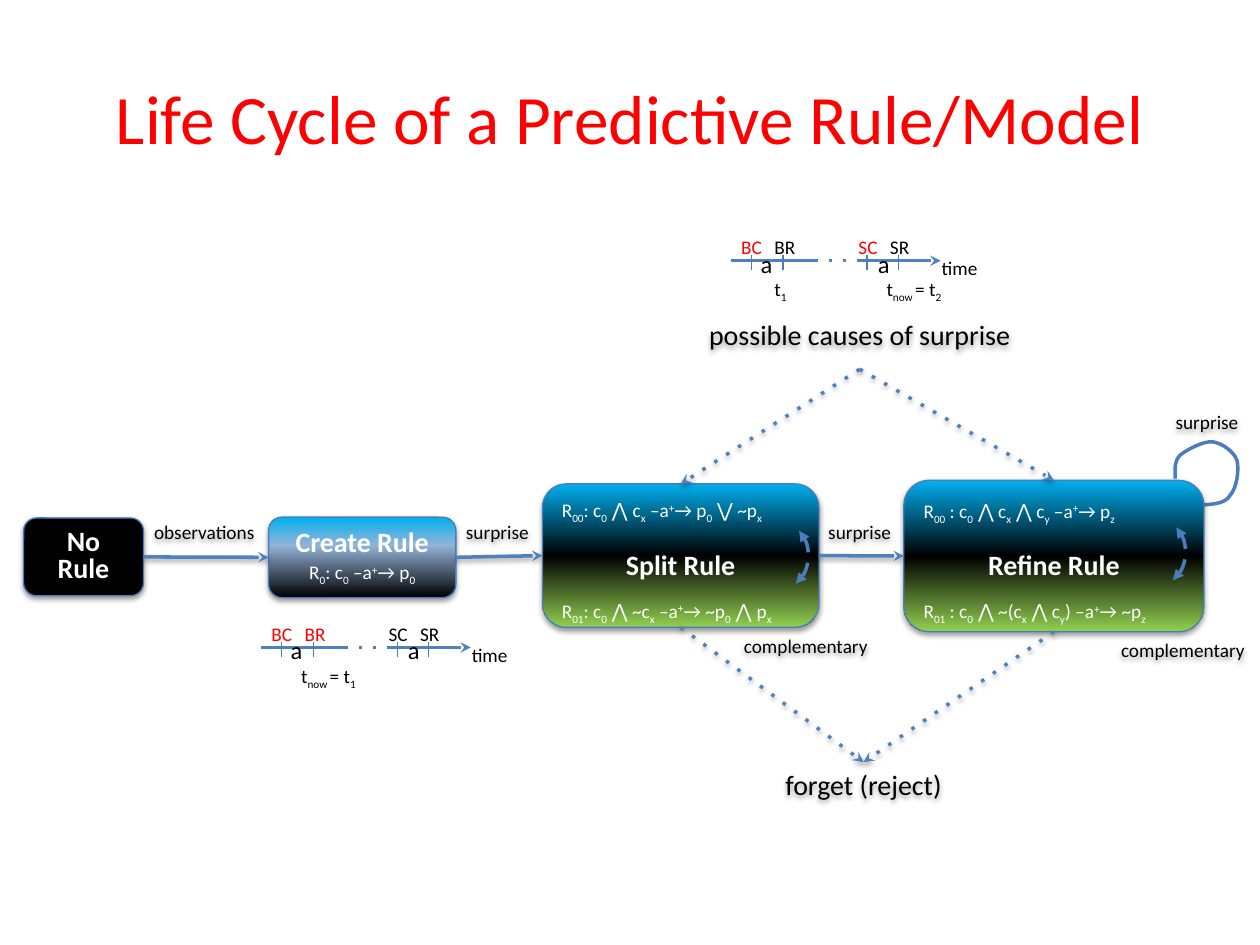
from dataclasses import dataclass
from lxml import etree
from pptx import Presentation
from pptx.dml.color import RGBColor
from pptx.enum.shapes import MSO_CONNECTOR, MSO_SHAPE
from pptx.enum.text import MSO_ANCHOR, MSO_AUTO_SIZE, PP_ALIGN
from pptx.oxml.ns import qn
from pptx.util import Pt

ROUNDED, ARC = MSO_SHAPE.ROUNDED_RECTANGLE, MSO_SHAPE.ARC
STRAIGHT = MSO_CONNECTOR.STRAIGHT
MIDDLE, TOP_ANCHOR = MSO_ANCHOR.MIDDLE, MSO_ANCHOR.TOP
CENTER, LEFT_ALIGN = PP_ALIGN.CENTER, PP_ALIGN.LEFT
FIT_SHAPE = MSO_AUTO_SIZE.SHAPE_TO_FIT_TEXT
TOP, LEFT, BOTTOM, RIGHT = range(4)


@dataclass(frozen=True)
class Theme:
    font: str = "Calibri"
    logic_font: str = "Open Sans"
    red: str = "FF0000"
    black: str = "000000"
    white: str = "FFFFFF"
    sky: str = "00B0F0"
    steel: str = "93B3D7"
    green: str = "92D050"
    outline: str = "4A7DBA"
    arrow: str = "4F81BD"
    title: float = 39.6
    heading: float = 16
    action: float = 14
    small: float = 11
    thin: float = 0.75
    thick: float = 2


@dataclass(frozen=True)
class Box:
    left: float
    top: float
    width: float
    height: float

    @property
    def right(self):
        return self.left + self.width

    @property
    def bottom(self):
        return self.top + self.height

    @property
    def lengths(self):
        return [Pt(v) for v in (self.left, self.top, self.width, self.height)]


THEME = Theme()
RULE_STOPS = [(0, THEME.sky), (50, THEME.black), (100, THEME.green)]
CREATE_STOPS = [(0, THEME.black), (65, THEME.steel), (100, THEME.sky)]
LOOP = [(0, 14), (6.5, 13.5), (12.5, 13), (15, 8.5), (19, 4), (20, -6),
        (19, -11), (17.5, -16), (11, -21), (5, -22), (0, -22.5), (-9, -18),
        (-13.5, -14.5), (-17, -11), (-16.5, -7.5), (-16.5, -1)]


def add_node(parent, tag, **attributes):
    node = etree.SubElement(parent, qn(tag))
    for name, value in attributes.items():
        node.set(name, str(value))
    return node


def write_formula(paragraph, formula, size, color, bold=False):
    for part in formula.split("|"):
        run = paragraph.add_run()
        run.text = part.lstrip("_^")
        font = run.font
        font.size, font.bold = Pt(size), bold
        font.name = THEME.logic_font if "⋀" in part or "⋁" in part else THEME.font
        font.color.rgb = RGBColor.from_string(color)
        shift = {"_": -25000, "^": 30000}.get(part[0])
        if shift:
            run._r.get_or_add_rPr().set("baseline", str(shift))


def write_lines(frame, lines, spacing=1.0, anchor=MIDDLE, gap=3.1):
    frame.word_wrap, frame.vertical_anchor = True, anchor
    for index, (formula, size, color, bold, align) in enumerate(lines):
        paragraph = frame.add_paragraph() if index else frame.paragraphs[0]
        paragraph.alignment, paragraph.line_spacing = align, spacing
        if index:
            paragraph.space_before = Pt(gap)
        write_formula(paragraph, formula, size, color, bold)


def style_line(item, color, width, dash=None, head=None, tail=None):
    item.line.color.rgb = RGBColor.from_string(color)
    item.line.width = Pt(width)
    ln = item._element.spPr.find(qn("a:ln"))
    for tag, key, value in (("a:prstDash", "val", dash),
                            ("a:headEnd", "type", head), ("a:tailEnd", "type", tail)):
        if value:
            add_node(ln, tag, **{key: value})


def add_shadow(effects):
    shadow = add_node(effects, "a:outerShdw", blurRad=Pt(3.1), dist=Pt(1.6),
                      dir=5400000, rotWithShape=0)
    add_node(add_node(shadow, "a:srgbClr", val=THEME.black), "a:alpha", val=38000)


def add_line(shapes, start, end, color=THEME.arrow, width=THEME.thick,
             dash=None, tail=None, shadow=False):
    line = shapes.add_connector(STRAIGHT, *(Pt(v) for v in (*start, *end)))
    style_line(line, color, width, dash, tail=tail)
    effects = add_node(line._element.spPr, "a:effectLst")
    if shadow:
        add_shadow(effects)
    return line


def join(shapes, source, source_side, target, target_side, dash=None):
    link = add_line(shapes, (0, 0), (0, 0), dash=dash, tail="stealth", shadow=True)
    link.begin_connect(source, source_side)
    link.end_connect(target, target_side)


def add_label(shapes, box, words, size=THEME.small):
    label = shapes.add_shape(ROUNDED, *box.lengths)
    label.fill.background()
    label.line.fill.background()
    label.shadow.inherit = False
    add_shadow(label._element.spPr.find(qn("a:effectLst")))
    write_lines(label.text_frame, [(words, size, THEME.black, False, CENTER)], 0.8)
    return label


def add_stage(shapes, box, lines, spacing, stops=None, angle=270):
    stage = shapes.add_shape(ROUNDED, *box.lengths)
    if stops:
        stage.fill.gradient()
        stage.fill.gradient_angle = angle
        stop_list = stage._element.spPr.find(qn("a:gradFill")).find(qn("a:gsLst"))
        stop_list.clear()
        for position, color in stops:
            stop = add_node(stop_list, "a:gs", pos=position * 1000)
            add_node(stop, "a:srgbClr", val=color)
    else:
        stage.fill.solid()
        stage.fill.fore_color.rgb = RGBColor.from_string(THEME.black)
    style_line(stage, THEME.outline, THEME.thin)
    stage.shadow.inherit = False
    add_shadow(stage._element.spPr.find(qn("a:effectLst")))
    write_lines(stage.text_frame, lines, spacing)
    return stage


def add_rule_pair(shapes, box, name, rule, opposite, inset):
    lines = [formula_line(rule, LEFT_ALIGN), heading_line(name),
             formula_line(opposite, LEFT_ALIGN)]
    stage = add_stage(shapes, box, lines, 1.5, RULE_STOPS)
    turn = shapes.add_shape(ARC, *Box(box.right - 49 - inset, box.top + 19.5, 43, 43).lengths)
    turn.rotation = 48.6
    turn.fill.background()
    style_line(turn, THEME.outline, THEME.thick, "dash", "triangle", "triangle")
    turn.shadow.inherit = False
    add_label(shapes, Box(box.right - 64 - inset, box.bottom - 10, 113, 43), "complementary")
    return stage


def heading_line(words):
    return words, THEME.heading, THEME.white, True, CENTER


def formula_line(formula, align):
    return formula, THEME.small, THEME.white, False, align


def add_surprise_loop(shapes, box):
    points = [(Pt(box.right + x), Pt(box.top + y)) for x, y in LOOP]
    builder = shapes.build_freeform(*points[0])
    builder.add_line_segments(points[1:], close=False)
    loop = builder.convert_to_shape()
    segments = list(loop._element.spPr.iter(qn("a:lnTo")))
    outline = segments[0].getparent()
    for first in range(0, len(segments), 3):
        curve = add_node(outline, "a:cubicBezTo")
        for segment in segments[first:first + 3]:
            curve.append(segment[0])
            outline.remove(segment)
    loop.fill.background()
    style_line(loop, THEME.outline, THEME.thick)
    loop.shadow.inherit = False
    add_label(shapes, Box(box.right - 35, box.top - 52, 73.5, 40), "surprise")


def add_timeline(shapes, left, axis, causes, moments):
    parts = shapes.add_group_shape().shapes
    for start, end, dash, tail in ((0, 48, None, None), (48, 72, "dot", None),
                                   (72, 120, None, "stealth")):
        add_line(parts, (left + start, axis), (left + end, axis), dash=dash, tail=tail)
    for tick in (12, 30, 78, 96):
        add_line(parts, (left + tick, axis + 5.5), (left + tick, axis - 3),
                 THEME.outline, THEME.thin)
    marks = [("BC", -1), ("BR", 18), ("SC", 66), ("SR", 84)]
    notes = [(name, x, -18, 30, THEME.small, THEME.red if name in causes else THEME.black)
             for name, x in marks]
    notes += [("a", x, -10.5, 24, THEME.action, THEME.black) for x in (10, 77)]
    notes += [("time", 113.5, -6, 40, THEME.small, THEME.black)]
    notes += [(moment, x, 6, width, THEME.small, THEME.black) for moment, x, width in moments]
    for words, x, y, width, size, color in notes:
        note = parts.add_textbox(*Box(left + x, axis + y, width, size + 10).lengths)
        write_lines(note.text_frame, [(words, size, color, False, LEFT_ALIGN)],
                    anchor=TOP_ANCHOR)
        note.text_frame.auto_size = FIT_SHAPE


def add_title(shapes, box):
    title = shapes.add_textbox(*box.lengths)
    write_lines(title.text_frame, [("Life Cycle of a Predictive Rule/Model", THEME.title,
                                    THEME.red, False, CENTER)])


def add_life_cycle(shapes):
    none_box, create_box = Box(13.5, 296, 68.5, 44.5), Box(153.5, 295.5, 107, 46)
    split_box, refine_box = Box(310, 276.5, 158, 82), Box(516.5, 274.5, 171.5, 86.5)
    add_surprise_loop(shapes, refine_box)
    no_rule = add_stage(shapes, none_box, [heading_line("No Rule")], 0.8)
    create = add_stage(shapes, create_box, [
        heading_line("Create Rule"), formula_line("R|_0|: c|_0| –a|^+|→ p|_0", CENTER),
    ], 0.8, CREATE_STOPS, 90)
    split = add_rule_pair(
        shapes, split_box, "Split Rule",
        "R|_00|: c|_0| ⋀ |c|_x| –a|^+|→ p|_0| ⋁| ~p|_x",
        "R|_01|: c|_0| ⋀| ~c|_x| –a|^+|→ ~p|_0| ⋀ |p|_x", 0)
    refine = add_rule_pair(
        shapes, refine_box, "Refine Rule",
        "R|_00| : c|_0| ⋀| c|_x| ⋀| c|_y| –a|^+|→ p|_z",
        "R|_01| : c|_0| ⋀| ~(c|_x| ⋀| c|_y|) –a|^+|→ ~p|_z", 4.5)
    stages = [(no_rule, none_box), (create, create_box), (split, split_box), (refine, refine_box)]
    triggers = [("observations", 102), ("surprise", 73.5), ("surprise", 73.5)]
    for (source, before), (target, after), (trigger, width) in zip(stages, stages[1:], triggers):
        join(shapes, source, RIGHT, target, LEFT)
        middle = (before.right + after.left) / 2 - 1
        add_label(shapes, Box(middle - width / 2, 285, width, 40), trigger)
    causes = add_label(shapes, Box(395, 174.5, 192.5, 36.5), "possible causes of surprise",
                       THEME.heading)
    forget = add_label(shapes, Box(437, 435.5, 113, 29), "forget (reject)", THEME.heading)
    for stage in (split, refine):
        join(shapes, causes, BOTTOM, stage, TOP, "dot")
        join(shapes, stage, BOTTOM, forget, TOP, "dot")


def main():
    deck = Presentation()
    deck.slide_width, deck.slide_height = Pt(720), Pt(540)
    shapes = deck.slides.add_slide(deck.slide_layouts[6]).shapes
    add_title(shapes, Box(36, 21.5, 648, 90))
    add_life_cycle(shapes)
    add_timeline(shapes, 417.5, 149, ("BC", "SC"),
                 [("t|_1", 18, 28), ("t|_now |= t|_2", 82, 62)])
    add_timeline(shapes, 149, 370, ("BC", "BR"), [("t|_now |= t|_1", 16, 62)])
    deck.save("out.pptx")


if __name__ == "__main__":
    main()
